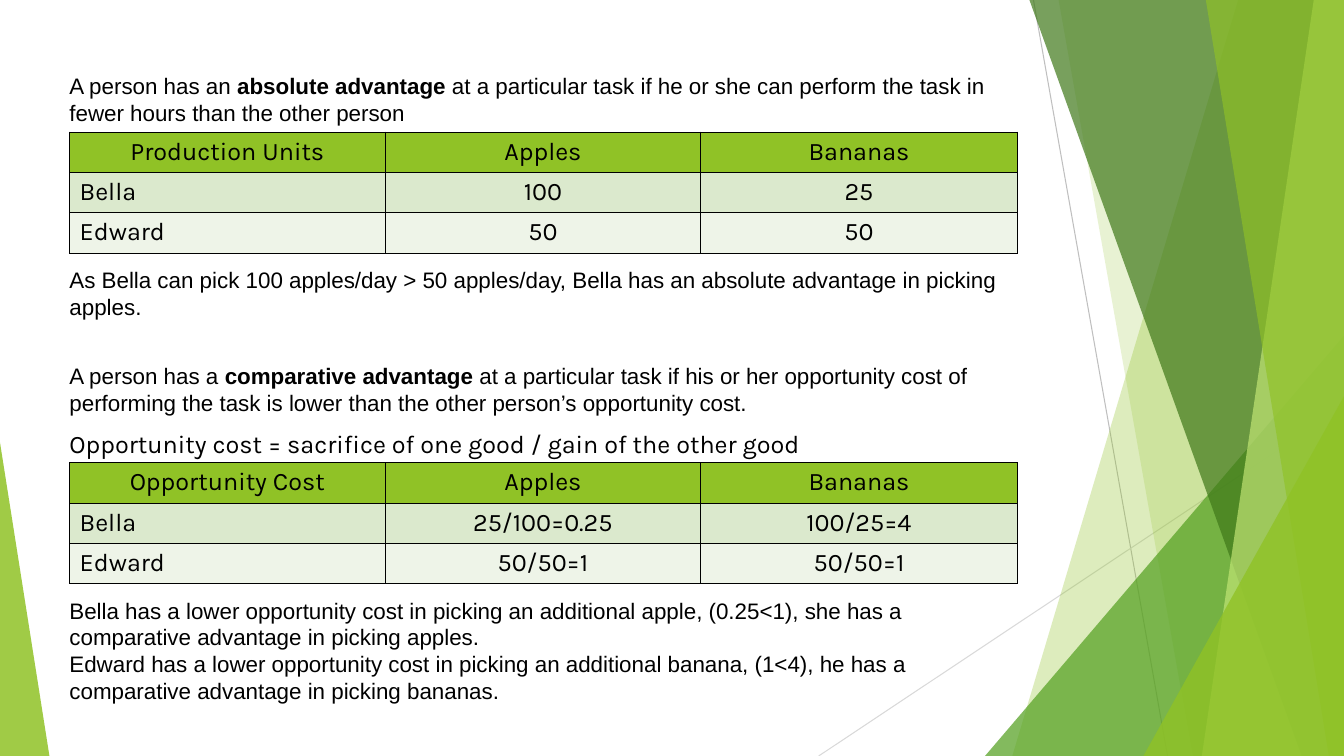
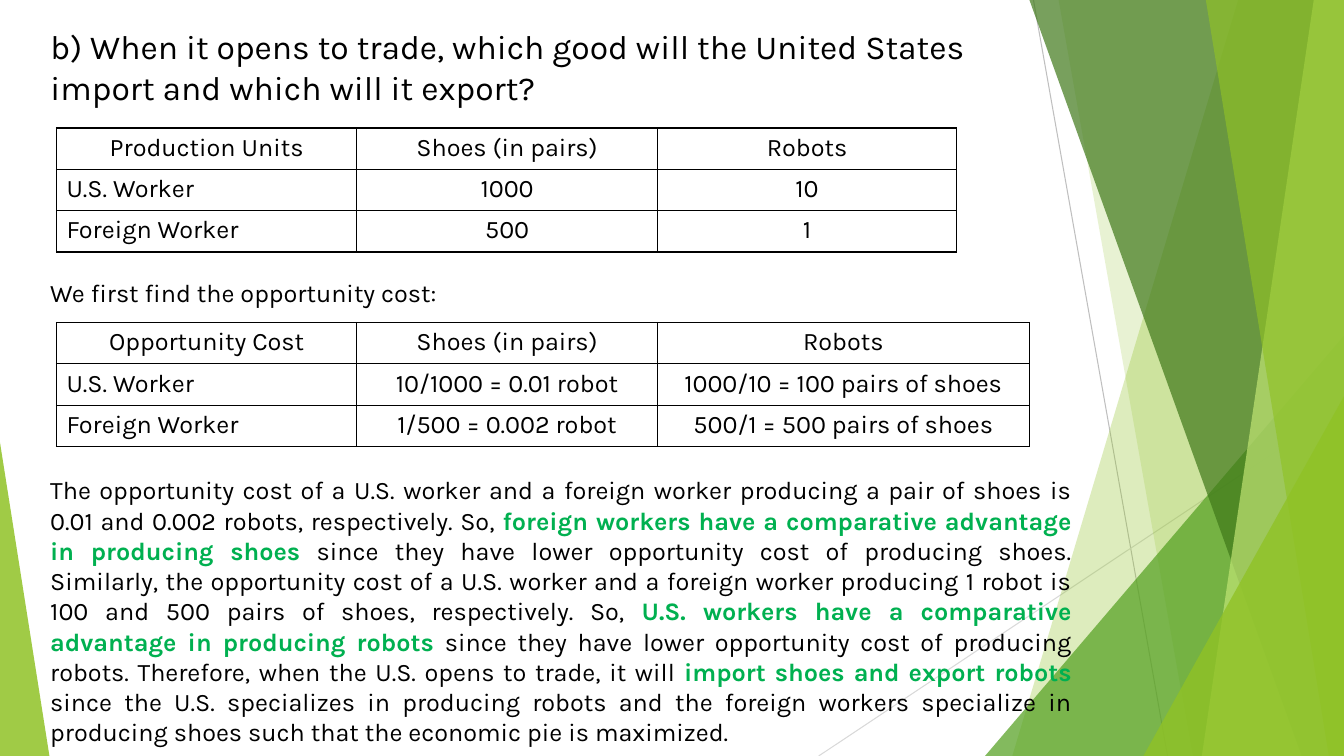
from lxml.etree import SubElement
from pptx import Presentation
from pptx.dml.color import RGBColor
from pptx.enum.shapes import MSO_CONNECTOR, MSO_SHAPE
from pptx.enum.text import MSO_ANCHOR, MSO_AUTO_SIZE, PP_ALIGN
from pptx.oxml.ns import qn
from pptx.util import Pt

PX = 9144
WIDTH, HEIGHT = 1333, 750
TITLE_ONLY, BLANK = 5, 6
COLOURS = {
    "text": "000000",
    "highlight": "00B050",
    "lime": "90C226",
    "green": "54A021",
    "forest": "3F7819",
    "pale": "C0E474",
    "row_dark": "DBE9CD",
    "row_light": "EEF4E8",
    "line_dark": "BFBFBF",
    "line_light": "D9D9D9",
}
STRIPED = ("lime", "row_dark", "row_light")
PLAIN = (None, None, None)


class SlideBuilder:
    """Holds the shared style and the current slide."""

    def __init__(self):
        self.deck = Presentation()
        self.deck.slide_width, self.deck.slide_height = WIDTH * PX, HEIGHT * PX
        self.slide = None

    def colour(self, name):
        """Return a named colour."""
        return RGBColor.from_string(COLOURS[name])

    def new_slide(self, layout):
        """Start a slide with the shared green bands."""
        self.slide = self.deck.slides.add_slide(self.deck.slide_layouts[layout])
        self.line(1025, 0, 1158, HEIGHT, "line_dark")
        self.line(WIDTH, 403, 812, HEIGHT, "line_light")
        self.band(1228, 1004, "lime", 30)
        self.band(1050, 1183, "lime", 20)
        self.triangle(977, 333, 356, 1, "green", 72)
        self.band(1021, 1291, "forest", 70)
        self.band(1303, 1192, "pale", 70)
        self.band(1196, 1318, "lime", 65)
        self.triangle(1134, 393, 199, 1, "lime", 80)
        self.triangle(0, 439, 49, 0, "lime", 85)

    def line(self, x1, y1, x2, y2, colour):
        """Draw a thin straight line."""
        line = self.slide.shapes.add_connector(
            MSO_CONNECTOR.STRAIGHT, x1 * PX, y1 * PX, x2 * PX, y2 * PX)
        line.line.color.rgb = self.colour(colour)
        line.line.width = Pt(0.75)
        SubElement(line.element.spPr, qn("a:effectLst"))

    def paint(self, shape, colour, opacity):
        """Give a shape a translucent fill without outline or shadow."""
        shape.shadow.inherit = False
        shape.line.fill.background()
        shape.fill.solid()
        shape.fill.fore_color.rgb = self.colour(colour)
        fill = shape.element.spPr.find(qn("a:solidFill"))
        SubElement(fill[0], qn("a:alpha"), val=str(opacity * 1000))

    def band(self, top_x, bottom_x, colour, opacity):
        """Fill from a slanted left edge to the right slide edge."""
        outline = self.slide.shapes.build_freeform(top_x, 0, PX)
        outline.add_line_segments(
            [(WIDTH, 0), (WIDTH, HEIGHT), (bottom_x, HEIGHT)], close=True)
        self.paint(outline.convert_to_shape(), colour, opacity)

    def triangle(self, x, y, width, apex, colour, opacity):
        """Draw a triangle standing on the bottom edge."""
        shape = self.slide.shapes.add_shape(
            MSO_SHAPE.ISOSCELES_TRIANGLE,
            x * PX, y * PX, width * PX, (HEIGHT - y) * PX)
        shape.adjustments[0] = apex
        self.paint(shape, colour, opacity)

    def style(self, span, size, font, colour="text", bold=False):
        """Format a run."""
        span.font.size, span.font.name, span.font.bold = Pt(size), font, bold
        span.font.color.rgb = self.colour(colour)

    def fill_para(self, para, pieces, size, font, strong="text", align=PP_ALIGN.LEFT):
        """Set pieces in turn, every second one emphasised."""
        para.alignment = align
        for index, piece in enumerate(pieces):
            span = para.add_run()
            span.text = piece
            emphasised = index % 2 == 1
            self.style(span, size, font, strong if emphasised else "text", emphasised)

    def title(self, text, x, y, width, height):
        """Place and format the title."""
        box = self.slide.shapes.title
        box.left, box.top, box.width, box.height = (
            x * PX, y * PX, width * PX, height * PX)
        frame = box.text_frame
        frame.auto_size, frame.vertical_anchor = MSO_AUTO_SIZE.NONE, MSO_ANCHOR.TOP
        self.fill_para(frame.paragraphs[0], [text], 24, "Karla")

    def text(self, x, y, width, height, paragraphs, size=16, font="Arial", **options):
        """Add a wrapping text box and return its paragraphs."""
        box = self.slide.shapes.add_textbox(x * PX, y * PX, width * PX, height * PX)
        frame = box.text_frame
        frame.word_wrap = True
        for index, pieces in enumerate(paragraphs):
            para = frame.add_paragraph() if index else frame.paragraphs[0]
            self.fill_para(para, pieces, size, font, **options)
        return frame.paragraphs

    def table(self, x, y, columns, row_height, rows, fills, border):
        """Add a bordered table with one fill per row."""
        table = self.slide.shapes.add_table(
            len(rows), len(columns), x * PX, y * PX,
            sum(columns) * PX, len(rows) * row_height * PX).table
        table.first_row = table.horz_banding = False
        for column, width in zip(table.columns, columns):
            column.width = width * PX
        for row_index, (values, fill) in enumerate(zip(rows, fills)):
            table.rows[row_index].height = row_height * PX
            for column_index, value in enumerate(values):
                cell = table.cell(row_index, column_index)
                self.borders(cell, border)
                if fill:
                    cell.fill.solid()
                    cell.fill.fore_color.rgb = self.colour(fill)
                else:
                    cell.fill.background()
                centred = row_index == 0 or column_index > 0
                self.fill_para(cell.text_frame.paragraphs[0], [value], 18, "Karla",
                               align=PP_ALIGN.CENTER if centred else PP_ALIGN.LEFT)

    def borders(self, cell, width):
        """Outline the four sides of a cell."""
        properties = cell._tc.get_or_add_tcPr()
        for side in ("lnL", "lnR", "lnT", "lnB"):
            edge = SubElement(properties, qn(f"a:{side}"), w=str(Pt(width)))
            fill = SubElement(edge, qn("a:solidFill"))
            SubElement(fill, qn("a:srgbClr"), val=COLOURS["text"])


def advantage_slide(builder):
    """Define absolute and comparative advantage."""
    builder.new_slide(BLANK)
    left, width = 59, 941
    columns = [313, 313, 314]
    builder.text(left, 67, width, 64, [[
        "A person has an ", "absolute advantage",
        " at a particular task if he or she can perform the task in fewer hours "
        "than the other person"]])
    builder.table(69, 131, columns, 40, [
        ("Production Units", "Apples", "Bananas"),
        ("Bella", "100", "25"),
        ("Edward", "50", "50")], STRIPED, 0.83)
    builder.text(left, 259, width, 64, [[
        "As Bella can pick 100 apples/day > 50 apples/day, Bella has an absolute "
        "advantage in picking apples."]])
    formula = builder.text(left, 354, width, 111, [
        ["A person has a ", "comparative advantage",
         " at a particular task if his or her opportunity cost of performing the "
         "task is lower than the other person’s opportunity cost."],
        ["Opportunity cost = sacrifice of one good / gain of the other good"]])[1]
    formula.space_before = Pt(9)
    builder.style(formula.runs[0], 18, "Karla")
    builder.table(69, 459, columns, 40, [
        ("Opportunity Cost", "Apples", "Bananas"),
        ("Bella", "25/100=0.25", "100/25=4"),
        ("Edward", "50/50=1", "50/50=1")], STRIPED, 0.83)
    builder.text(left, 587, width, 145, [
        ["Bella has a lower opportunity cost in picking an additional apple, "
         "(0.25<1), she has a comparative advantage in picking apples."],
        ["Edward has a lower opportunity cost in picking an additional banana, "
         "(1<4), he has a comparative advantage in picking bananas."]])


def trade_slide(builder):
    """Work out which good is imported and which exported."""
    builder.new_slide(TITLE_ONLY)
    left, width = 40, 1033
    builder.title("b) When it opens to trade, which good will the United States "
                  "import and which will it export?", left, 21, width, 92)
    builder.table(56, 127, [298, 298, 297], 41, [
        ("Production Units", "Shoes (in pairs)", "Robots"),
        ("U.S. Worker", "1000", "10"),
        ("Foreign Worker", "500", "1")], PLAIN, 1)
    builder.text(left, 270, width, 40, [["We first find the opportunity cost:"]],
                 18, "Karla")
    builder.table(56, 320, [298, 298, 369], 41, [
        ("Opportunity Cost", "Shoes (in pairs)", "Robots"),
        ("U.S. Worker", "10/1000 = 0.01 robot", "1000/10 = 100 pairs of shoes"),
        ("Foreign Worker", "1/500 = 0.002 robot", "500/1 = 500 pairs of shoes"),
    ], PLAIN, 1)
    builder.text(left, 466, width, 280, [[
        "The opportunity cost of a U.S. worker and a foreign worker producing a "
        "pair of shoes is 0.01 and 0.002 robots, respectively. So, ",
        "foreign workers have a comparative advantage in producing shoes",
        " since they have lower opportunity cost of producing shoes. Similarly, "
        "the opportunity cost of a U.S. worker and a foreign worker producing 1 "
        "robot is 100 and 500 pairs of shoes, respectively. So, ",
        "U.S. workers have a comparative advantage in producing robots",
        " since they have lower opportunity cost of producing robots. Therefore, "
        "when the U.S. opens to trade, it will ",
        "import shoes and export robots",
        " since the U.S. specializes in producing robots and the foreign workers "
        "specialize in producing shoes such that the economic pie is maximized.",
    ]], 18, "Karla", strong="highlight", align=PP_ALIGN.JUSTIFY)


def main():
    """Build and save the deck."""
    builder = SlideBuilder()
    advantage_slide(builder)
    trade_slide(builder)
    builder.deck.save("out.pptx")


if __name__ == "__main__":
    main()
